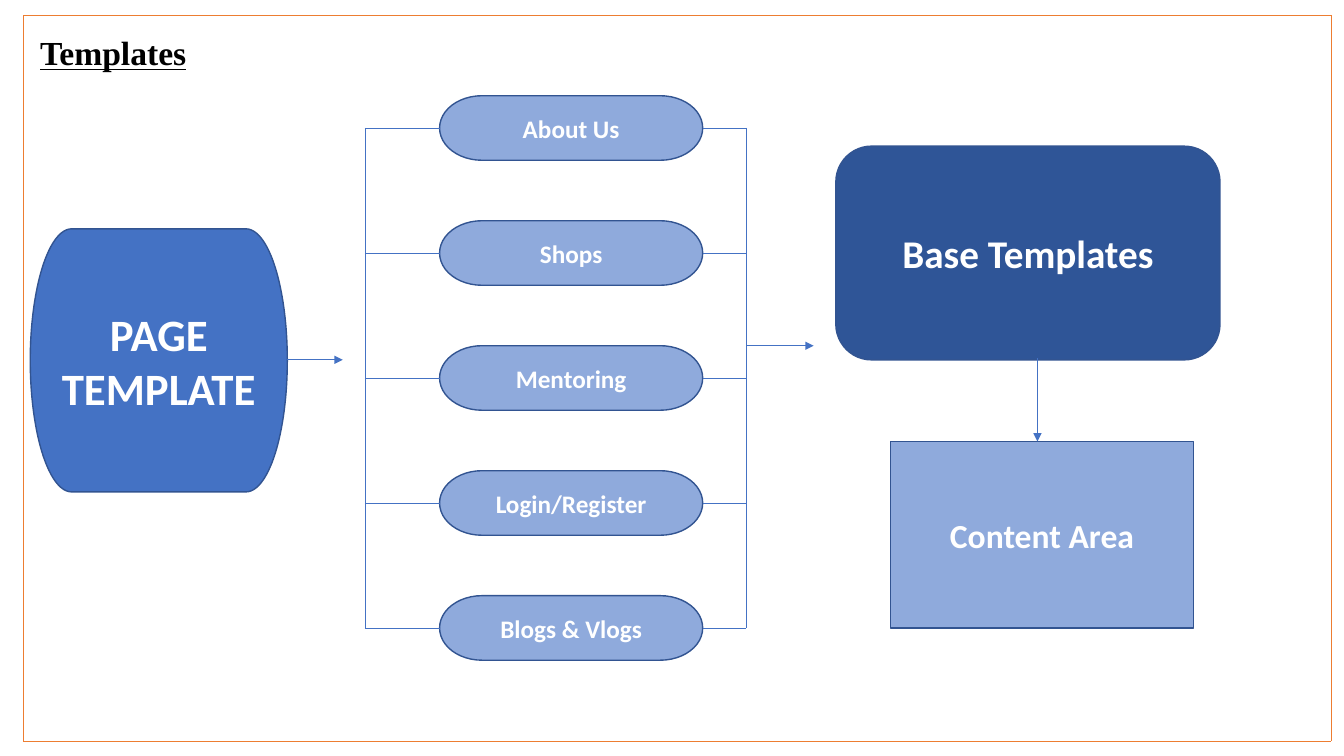
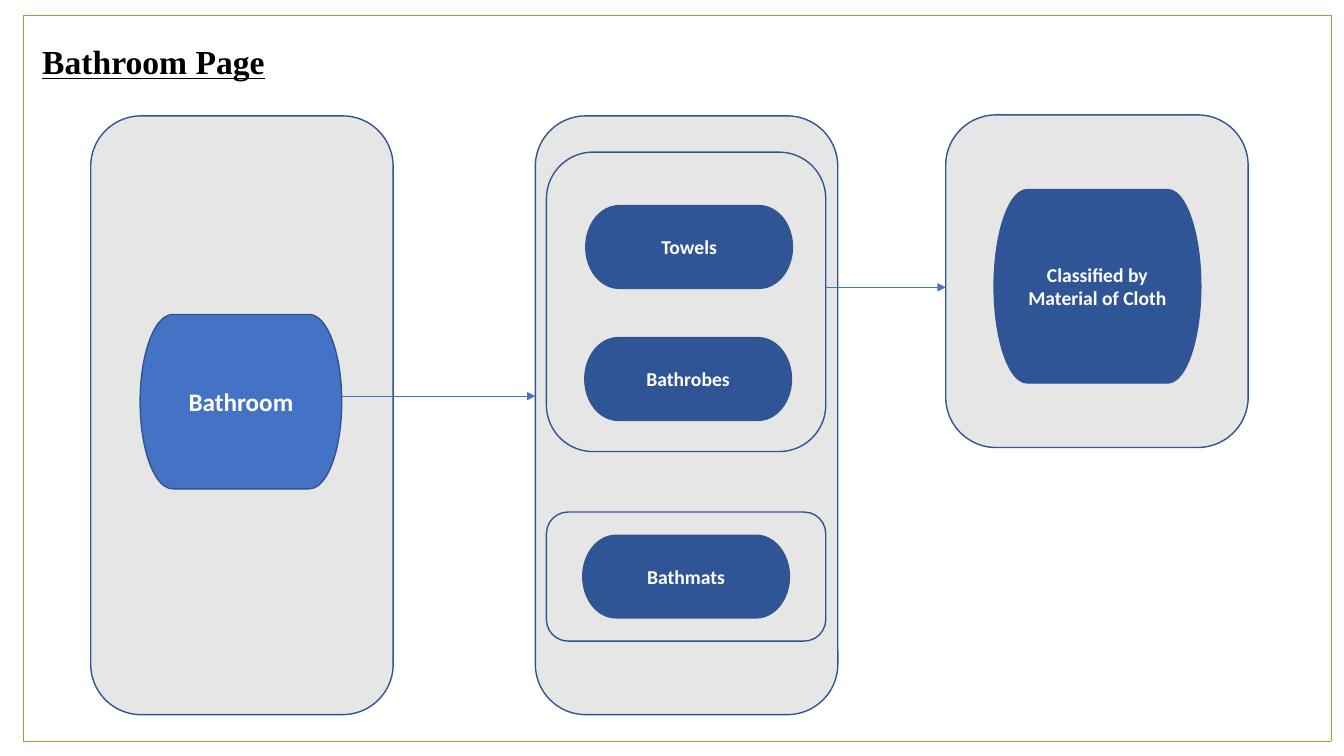
from lxml.etree import SubElement
from pptx import Presentation
from pptx.dml.color import RGBColor
from pptx.enum.shapes import MSO_CONNECTOR, MSO_SHAPE
from pptx.enum.text import MSO_ANCHOR, MSO_AUTO_SIZE, PP_ALIGN
from pptx.oxml.ns import qn
from pptx.util import Emu, Pt

EMU_PER_PX = 9144
ORANGE = "ED7D31"
BLUE = "4472C4"
OUTLINE_BLUE = "325491"
DARK_BLUE = "2F5597"
LIGHT_BLUE = "8FAADC"
GREY = "E7E6E6"
WHITE = "FFFFFF"
BLACK = "000000"


def px(length):
    return Emu(length * EMU_PER_PX)


def color(hex_string):
    return RGBColor.from_string(hex_string)


class Deck:
    body_font = "Calibri"
    title_font = "Times New Roman"
    frame_corners = [(23, 15), (1320, 15), (1320, 735), (23, 735)]

    def __init__(self):
        self.presentation = Presentation()
        self.presentation.slide_width = px(1333)
        self.presentation.slide_height = px(750)
        self.slide = None

    def add_slide(self, title, left, top, width):
        layout = self.presentation.slide_layouts[6]
        self.slide = self.presentation.slides.add_slide(layout)
        corners = self.frame_corners
        for start, end in zip(corners, corners[1:] + corners[:1]):
            self.line(start, end, ORANGE)
        self.title(title, left, top, width)

    def format_text(self, text_frame, font_name, size, text_color, underline=False):
        for paragraph in text_frame.paragraphs:
            for run in paragraph.runs:
                font = run.font
                font.name = font_name
                font.size = Pt(size)
                font.bold = True
                font.underline = underline
                font.color.rgb = color(text_color)

    def title(self, text, left, top, width):
        shape = self.slide.shapes.add_textbox(px(left), px(top), px(width), px(50))
        text_frame = shape.text_frame
        text_frame.word_wrap = True
        text_frame.auto_size = MSO_AUTO_SIZE.SHAPE_TO_FIT_TEXT
        text_frame.text = text
        self.format_text(text_frame, self.title_font, 24, BLACK, underline=True)

    def box(self, kind, left, top, width, height, fill, text="", size=18):
        shape = self.slide.shapes.add_shape(kind, px(left), px(top), px(width), px(height))
        shape.shadow.inherit = False
        shape.fill.solid()
        shape.fill.fore_color.rgb = color(fill)
        shape.line.color.rgb = color(OUTLINE_BLUE)
        shape.line.width = Pt(1)
        if text:
            text_frame = shape.text_frame
            text_frame.word_wrap = True
            text_frame.vertical_anchor = MSO_ANCHOR.MIDDLE
            text_frame.text = text
            text_frame.paragraphs[0].alignment = PP_ALIGN.CENTER
            self.format_text(text_frame, self.body_font, size, WHITE)

    def pill(self, *geometry, fill, text, size):
        self.box(MSO_SHAPE.FLOWCHART_TERMINATOR, *geometry, fill, text, size)

    def panel(self, *geometry, fill=GREY, text="", size=18):
        self.box(MSO_SHAPE.ROUNDED_RECTANGLE, *geometry, fill, text, size)

    def line(self, start, end, line_color=BLUE, arrow=False):
        connector = self.slide.shapes.add_connector(
            MSO_CONNECTOR.STRAIGHT, *map(px, start), *map(px, end)
        )
        connector.line.color.rgb = color(line_color)
        connector.line.width = Pt(0.5)
        if arrow:
            SubElement(connector.line._get_or_add_ln(), qn("a:tailEnd"), type="triangle")
        SubElement(connector._element.spPr, qn("a:effectLst"))

    def arrow(self, start, end):
        self.line(start, end, arrow=True)


def build_templates(deck):
    deck.add_slide("Templates", 30, 27, 310)
    deck.pill(30, 227, 255, 261, fill=BLUE, text="PAGE TEMPLATE", size=32)
    deck.panel(829, 145, 381, 212, fill=DARK_BLUE, text="Base Templates", size=28)
    deck.box(MSO_SHAPE.RECTANGLE, 883, 438, 301, 185, LIGHT_BLUE, "Content Area", 24)

    pages = ["About Us", "Shops", "Mentoring", "Login/Register", "Blogs & Vlogs"]
    pill_left, pill_width, pill_height = 436, 261, 64
    first_top, pitch = 95, 124
    left_rail, right_rail = 362, 740
    centers = [first_top + pill_height // 2 + pitch * row for row in range(len(pages))]
    for page, center in zip(pages, centers):
        top = center - pill_height // 2
        deck.pill(pill_left, top, pill_width, pill_height,
                  fill=LIGHT_BLUE, text=page, size=18)
        deck.line((left_rail, center), (pill_left, center))
        deck.line((pill_left + pill_width, center), (right_rail, center))
    for rail in (left_rail, right_rail):
        deck.line((rail, centers[0]), (rail, centers[-1]))

    deck.arrow((285, 357), (340, 357))
    deck.arrow((right_rail, 343), (807, 343))
    deck.arrow((1029, 355), (1029, 438))


def build_bathroom(deck):
    deck.add_slide("Bathroom Page", 32, 36, 529)
    for left, top, width, height in [
        (90, 115, 300, 594),
        (531, 115, 300, 594),
        (938, 114, 300, 330),
        (542, 151, 277, 297),
        (542, 508, 277, 128),
    ]:
        deck.panel(left, top, width, height)

    deck.pill(139, 312, 200, 173, fill=BLUE, text="Bathroom", size=18)
    for text, left, top, height in [
        ("Towels", 581, 204, 82),
        ("Bathrobes", 580, 335, 82),
        ("Bathmats", 578, 531, 82),
        ("Classified by Material of Cloth", 986, 188, 192),
    ]:
        deck.pill(left, top, 205, height, fill=DARK_BLUE, text=text, size=14)

    deck.arrow((339, 393), (531, 393))
    deck.arrow((819, 285), (938, 285))


def main():
    deck = Deck()
    build_templates(deck)
    build_bathroom(deck)
    deck.presentation.save("out.pptx")


if __name__ == "__main__":
    main()
